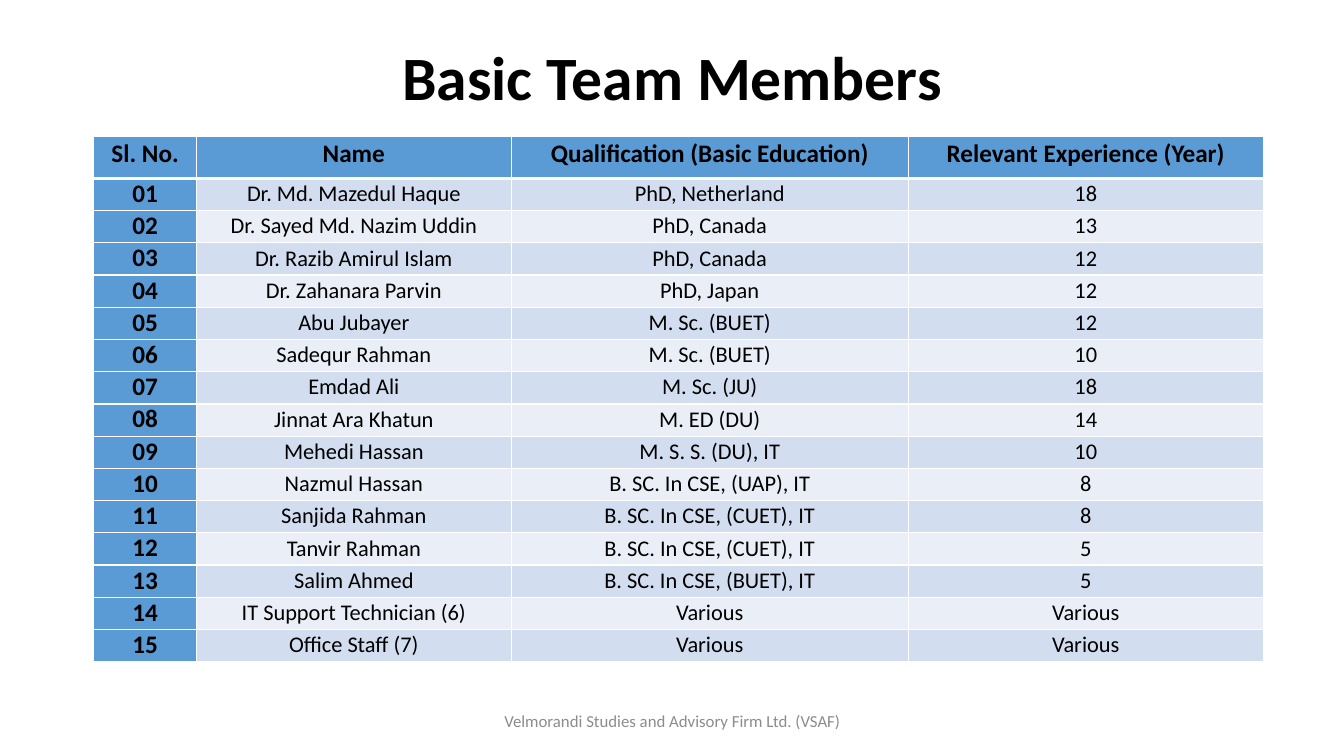
from lxml import etree
from pptx import Presentation
from pptx import util as u
from pptx.dml.color import RGBColor
from pptx.enum import text
from pptx.oxml import ns

FONT = "Calibri"
BLACK, WHITE, GREY = "000000", "FFFFFF", "8C8C8C"
BLUE, BANDS = "5B9BD5", ("D2DEEF", "EAEFF7")

COLUMN_WIDTHS = (1.02, 3.12, 3.94, 3.52)
HEADER_HEIGHT, ROW_HEIGHT = 0.42, 0.32
HEADINGS = ("Sl. No.", "Name", "Qualification (Basic Education)",
            "Relevant Experience (Year)")
MEMBERS = (
    ("Dr. Md. Mazedul Haque", "PhD, Netherland", "18"),
    ("Dr. Sayed Md. Nazim Uddin", "PhD, Canada", "13"),
    ("Dr. Razib Amirul Islam", "PhD, Canada", "12"),
    ("Dr. Zahanara Parvin", "PhD, Japan", "12"),
    ("Abu Jubayer", "M. Sc. (BUET)", "12"),
    ("Sadequr Rahman", "M. Sc. (BUET)", "10"),
    ("Emdad Ali", "M. Sc. (JU)", "18"),
    ("Jinnat Ara Khatun", "M. ED (DU)", "14"),
    ("Mehedi Hassan", "M. S. S. (DU), IT", "10"),
    ("Nazmul Hassan", "B. SC. In CSE, (UAP), IT", "8"),
    ("Sanjida Rahman", "B. SC. In CSE, (CUET), IT", "8"),
    ("Tanvir Rahman", "B. SC. In CSE, (CUET), IT", "5"),
    ("Salim Ahmed", "B. SC. In CSE, (BUET), IT", "5"),
    ("IT Support Technician (6)", "Various", "Various"),
    ("Office Staff (7)", "Various", "Various"),
)


def color(value):
    return RGBColor.from_string(value)


def write(frame, content, size=16, bold=False, ink=BLACK, spacing=1.0):
    """Put one centred paragraph into a text frame."""
    paragraph = frame.paragraphs[0]
    paragraph.alignment = text.PP_ALIGN.CENTER
    paragraph.line_spacing = spacing
    run = paragraph.add_run()
    run.text = content
    run.font.name = FONT
    run.font.size = u.Pt(size)
    run.font.bold = bold
    run.font.color.rgb = color(ink)


def add_text(slide, box, content, **style):
    shape = slide.shapes.add_textbox(*map(u.Inches, box))
    shape.text_frame.word_wrap = True
    shape.text_frame.vertical_anchor = text.MSO_ANCHOR.MIDDLE
    write(shape.text_frame, content, **style)


def set_borders(cell, top=1, bottom=1):
    properties = cell._tc.get_or_add_tcPr()
    for side, width in (("L", 1), ("R", 1), ("T", top), ("B", bottom)):
        line = etree.SubElement(properties, ns.qn(f"a:ln{side}"),
                                w=str(u.Pt(width)))
        fill = etree.SubElement(line, ns.qn("a:solidFill"))
        etree.SubElement(fill, ns.qn("a:srgbClr"), val=WHITE)


def fill_cell(cell, content, fill, top=1, bottom=1, **style):
    cell.margin_left = cell.margin_right = u.Inches(0.07)
    cell.margin_top = cell.margin_bottom = 0
    set_borders(cell, top, bottom)
    cell.fill.solid()
    cell.fill.fore_color.rgb = color(fill)
    write(cell.text_frame, content, **style)


def add_team_table(slide, left, top):
    height = HEADER_HEIGHT + ROW_HEIGHT * len(MEMBERS)
    table = slide.shapes.add_table(
        len(MEMBERS) + 1, len(HEADINGS), u.Inches(left), u.Inches(top),
        u.Inches(sum(COLUMN_WIDTHS)), u.Inches(height)).table
    for column, width in zip(table.columns, COLUMN_WIDTHS):
        column.width = u.Inches(width)
    for index, row in enumerate(table.rows):
        row.height = u.Inches(ROW_HEIGHT if index else HEADER_HEIGHT)

    # Header row, set off by a thicker line
    for index, heading in enumerate(HEADINGS):
        fill_cell(table.cell(0, index), heading, BLUE, bottom=3,
                  size=18, bold=True, spacing=1.07)

    # Numbered, banded member rows
    for number, member in enumerate(MEMBERS, start=1):
        line = 3 if number == 1 else 1
        fill_cell(table.cell(number, 0), f"{number:02d}", BLUE, top=line,
                  size=18, bold=True)
        for index, value in enumerate(member, start=1):
            fill_cell(table.cell(number, index), value,
                      BANDS[(number - 1) % 2], top=line, spacing=1.07)


def main():
    presentation = Presentation()
    presentation.slide_width = u.Inches(13.33)
    presentation.slide_height = u.Inches(7.5)
    slide = presentation.slides.add_slide(presentation.slide_layouts[6])

    # Title
    add_text(slide, (0.92, 0.4, 11.5, 0.8), "Basic Team Members",
             size=44, bold=True, spacing=0.9)
    # Team
    add_team_table(slide, 0.93, 1.35)
    # Footer
    add_text(slide, (4.42, 6.95, 4.5, 0.4),
             "Velmorandi Studies and Advisory Firm Ltd. (VSAF)",
             size=12, ink=GREY)

    presentation.save("out.pptx")


if __name__ == "__main__":
    main()
